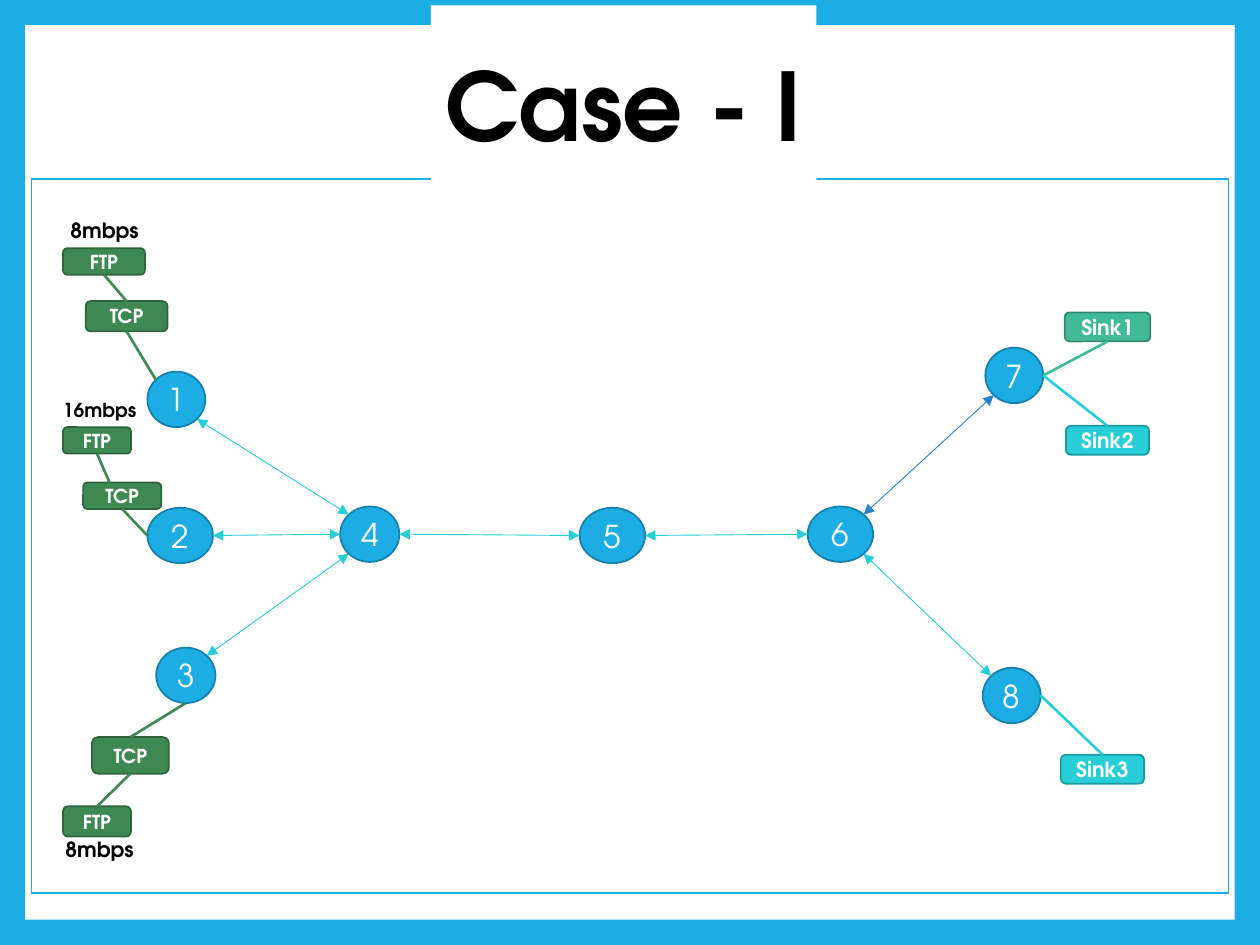
from dataclasses import dataclass
from math import sqrt

from lxml.etree import SubElement
from pptx import Presentation
from pptx.dml.color import RGBColor
from pptx.enum.shapes import MSO_CONNECTOR, MSO_SHAPE
from pptx.enum.text import MSO_ANCHOR, MSO_AUTO_SIZE, PP_ALIGN
from pptx.oxml.ns import qn
from pptx.util import Inches, Pt

FONT = "TeX Gyre Adventor"
COLORS = {
    "blue": "1CADE4", "blue_edge": "1580A9", "royal": "2683C6",
    "cyan": "27CED7", "cyan_edge": "1D989F",
    "mint": "42BA97", "mint_edge": "318A70",
    "green": "3E8853", "green_edge": "2E653D",
    "white": "FFFFFF", "black": "000000",
}
# The slide is a grid of 100 columns by 75 rows; every length is in cells.
COLUMNS, ROWS = 100, 75
CELL = Inches(10) // COLUMNS
DIAGONAL = sqrt(0.5)
DIRECTIONS = {
    "n": (0, -1), "s": (0, 1), "e": (1, 0), "w": (-1, 0),
    "ne": (DIAGONAL, -DIAGONAL), "nw": (-DIAGONAL, -DIAGONAL),
    "se": (DIAGONAL, DIAGONAL), "sw": (-DIAGONAL, DIAGONAL),
}


@dataclass
class Box:
    left: float
    top: float
    width: float
    height: float

    def inner(self, left, top, width, height):
        return Box(self.left + left, self.top + top, width, height)

    def site(self, direction):
        """Return the point where a line meets the edge on that side."""
        across, down = DIRECTIONS[direction]
        return (self.left + self.width * (1 + across) / 2,
                self.top + self.height * (1 + down) / 2)

    def lengths(self):
        return [round(cells * CELL) for cells in
                (self.left, self.top, self.width, self.height)]


def color(name):
    return RGBColor.from_string(COLORS[name])


def write(shape, text, size, ink, bold=True, align=PP_ALIGN.CENTER):
    frame = shape.text_frame
    frame.text = text
    para = frame.paragraphs[0]
    para.alignment = align
    font = para.runs[0].font
    font.name, font.size, font.bold = FONT, Pt(size), bold
    font.color.rgb = color(ink)
    return frame


def add_block(page, box, kind, fill, edge=None):
    shape = page.shapes.add_shape(kind, *box.lengths())
    shape.shadow.inherit = False
    shape.fill.solid()
    shape.fill.fore_color.rgb = color(fill)
    if edge:
        shape.line.color.rgb = color(edge)
        shape.line.width = Pt(1)
    else:
        shape.line.fill.background()
    return shape


def add_labelled(page, box, kind, text, size, fill, bold=True):
    shape = add_block(page, box, kind, fill, f"{fill}_edge")
    frame = write(shape, text, size, "white", bold)
    frame.vertical_anchor = MSO_ANCHOR.MIDDLE
    frame.margin_left = frame.margin_right = 0
    frame.margin_top = frame.margin_bottom = 0


def add_line(page, start, end, ink, width=1.5, arrows=False):
    points = [round(cells * CELL) for cells in (*start, *end)]
    line = page.shapes.add_connector(MSO_CONNECTOR.STRAIGHT, *points)
    line.line.color.rgb = color(ink)
    line.line.width = Pt(width)
    if arrows:
        outline = line.line._get_or_add_ln()
        for tag in ("a:headEnd", "a:tailEnd"):
            SubElement(outline, qn(tag), type="triangle")
    SubElement(line.element.spPr, qn("a:effectLst"))


def draw_frame(page, box):
    page.background.fill.solid()
    page.background.fill.fore_color.rgb = color("blue")
    add_block(page, box, MSO_SHAPE.RECTANGLE, "white")
    panel = box.inner(0.5, 12.2, box.width - 1, 56.7)
    add_block(page, panel, MSO_SHAPE.RECTANGLE, "white", "blue")


def draw_title(page, box):
    title = page.shapes.title
    title.left, title.top, title.width, title.height = box.lengths()
    title.fill.solid()
    title.fill.fore_color.rgb = color("white")
    frame = write(title, "Case - I", 54, "black")
    frame.word_wrap = False
    frame.auto_size = MSO_AUTO_SIZE.SHAPE_TO_FIT_TEXT
    properties = frame.paragraphs[0].runs[0].font._element
    outline = properties.makeelement(qn("a:ln"), w=str(Pt(0.75)))
    fill = SubElement(outline, qn("a:solidFill"))
    SubElement(fill, qn("a:srgbClr"), val=COLORS["white"])
    properties.insert(0, outline)
    title.element.getparent().append(title.element)  # bring to front


def draw_network(page, box):
    """Draw the numbered nodes and their links; return the node boxes."""
    places = {
        1: (0, 1.9, 4.6), 2: (0, 12.7, 5.2), 3: (0.7, 23.8, 4.7),
        4: (15.3, 12.6, 4.7), 5: (34.3, 12.7, 5.2), 6: (52.4, 12.6, 5.2),
        7: (66.5, 0, 4.6), 8: (66.3, 25.4, 4.6),
    }
    nodes = {number: box.inner(*place, 4.4) for number, place in places.items()}
    for number, node in nodes.items():
        add_labelled(page, node, MSO_SHAPE.OVAL, str(number), 18, "blue", False)
    links = [
        (1, "se", 4, "nw", "cyan"), (2, "e", 4, "w", "cyan"),
        (3, "ne", 4, "sw", "cyan"), (4, "e", 5, "w", "cyan"),
        (5, "e", 6, "w", "cyan"), (6, "ne", 7, "sw", "royal"),
        (6, "se", 8, "nw", "cyan"),
    ]
    for first, leave, second, arrive, ink in links:
        add_line(page, nodes[first].site(leave), nodes[second].site(arrive),
                 ink, 0.5, arrows=True)
    return nodes


def draw_sink(page, box, node, text, fill, side):
    add_labelled(page, box, MSO_SHAPE.ROUNDED_RECTANGLE, text, 12, fill)
    add_line(page, node.site("e"), box.site(side), fill)


def draw_source(page, box, rate, size, label, ftp, tcp, node_site,
                upward=False, lean=0):
    """Chain rate label, FTP and TCP to a node; lean shifts the middle joint."""
    ftp, tcp = box.inner(*ftp), box.inner(*tcp)
    for text, place in (("TCP", tcp), ("FTP", ftp)):
        add_labelled(page, place, MSO_SHAPE.ROUNDED_RECTANGLE, text, 11, "green")
    near, far = ("n", "s") if upward else ("s", "n")
    joint_left, joint_top = tcp.site(far)
    add_line(page, ftp.site(near), (joint_left + lean, joint_top), "green")
    add_line(page, tcp.site(near), node_site, "green")
    caption = page.shapes.add_textbox(*box.inner(*label, 11.4, 3).lengths())
    frame = write(caption, rate, size, "black", align=PP_ALIGN.LEFT)
    frame.word_wrap = True
    frame.auto_size = MSO_AUTO_SIZE.SHAPE_TO_FIT_TEXT


def main():
    deck = Presentation()
    deck.slide_width, deck.slide_height = COLUMNS * CELL, ROWS * CELL
    page = deck.slides.add_slide(deck.slide_layouts[5])
    draw_frame(page, Box(2, 2, COLUMNS - 4, ROWS - 4))
    nodes = draw_network(page, Box(11.7, 27.6, 71.1, 29.8))
    draw_sink(page, Box(84.5, 24.8, 6.8, 2.3), nodes[7], "Sink1", "mint", "s")
    draw_sink(page, Box(84.6, 33.8, 6.6, 2.3), nodes[7], "Sink2", "cyan", "n")
    draw_sink(page, Box(84.2, 59.9, 6.6, 2.3), nodes[8], "Sink3", "cyan", "n")
    draw_source(page, Box(5, 16.8, 8.3, 9.5), "8mbps", 12, (-0.4, 0),
                (0, 2.9, 6.5, 2.1), (1.8, 7.1, 6.5, 2.4), nodes[1].site("nw"))
    draw_source(page, Box(5, 31.1, 7.8, 9.3), "16mbps", 11, (-1, 0),
                (0, 2.8, 5.4, 2.1), (1.6, 7.2, 6.2, 2.1), nodes[2].site("w"),
                lean=-1)
    draw_source(page, Box(5, 58.5, 8.4, 10.4), "8mbps", 12, (-0.8, 7.4),
                (0, 5.5, 5.4, 2.4), (2.3, 0, 6.1, 2.9), nodes[3].site("s"),
                upward=True)
    draw_title(page, Box(34.2, 3.2, 30.6, 10.1))
    deck.save("out.pptx")


if __name__ == "__main__":
    main()
